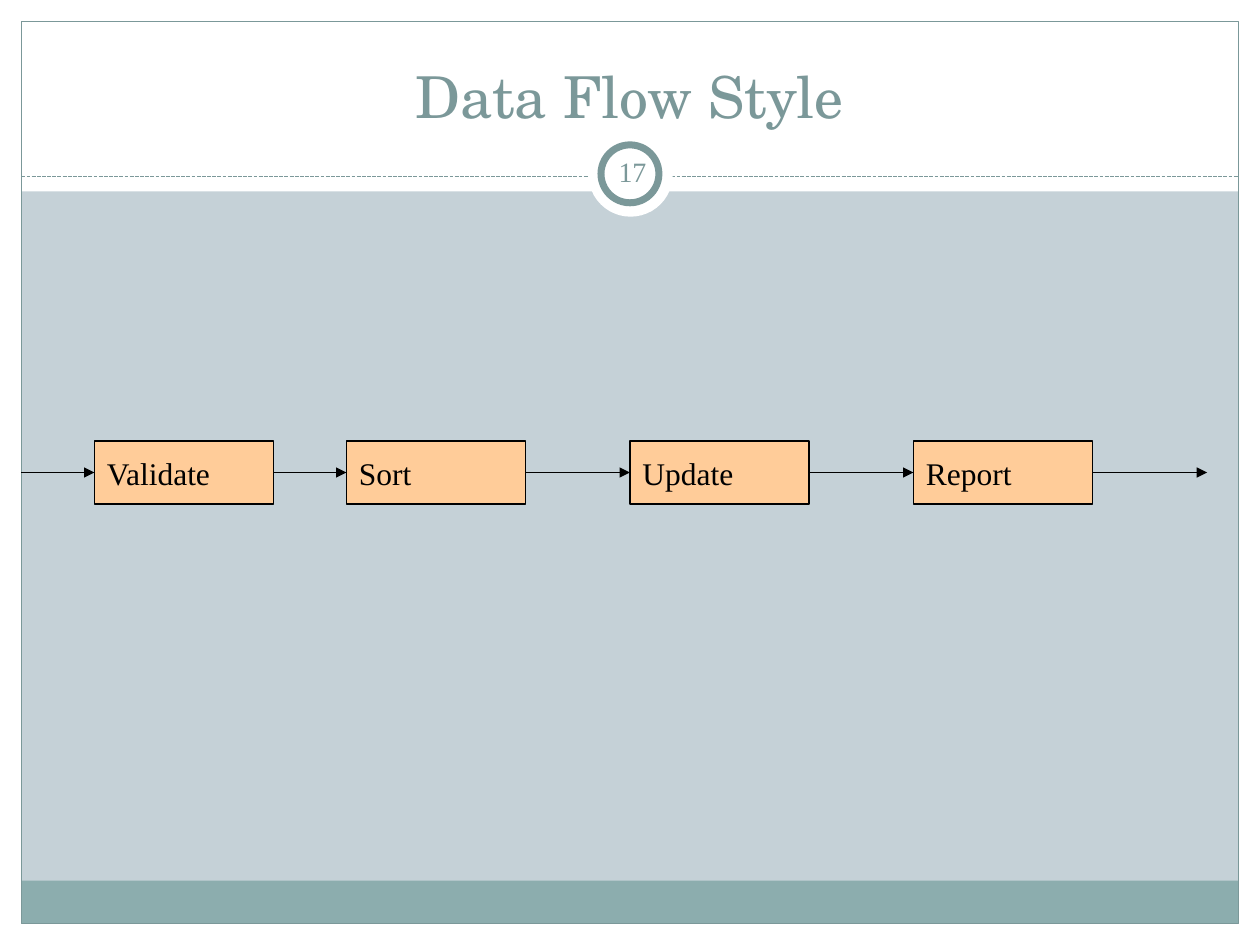
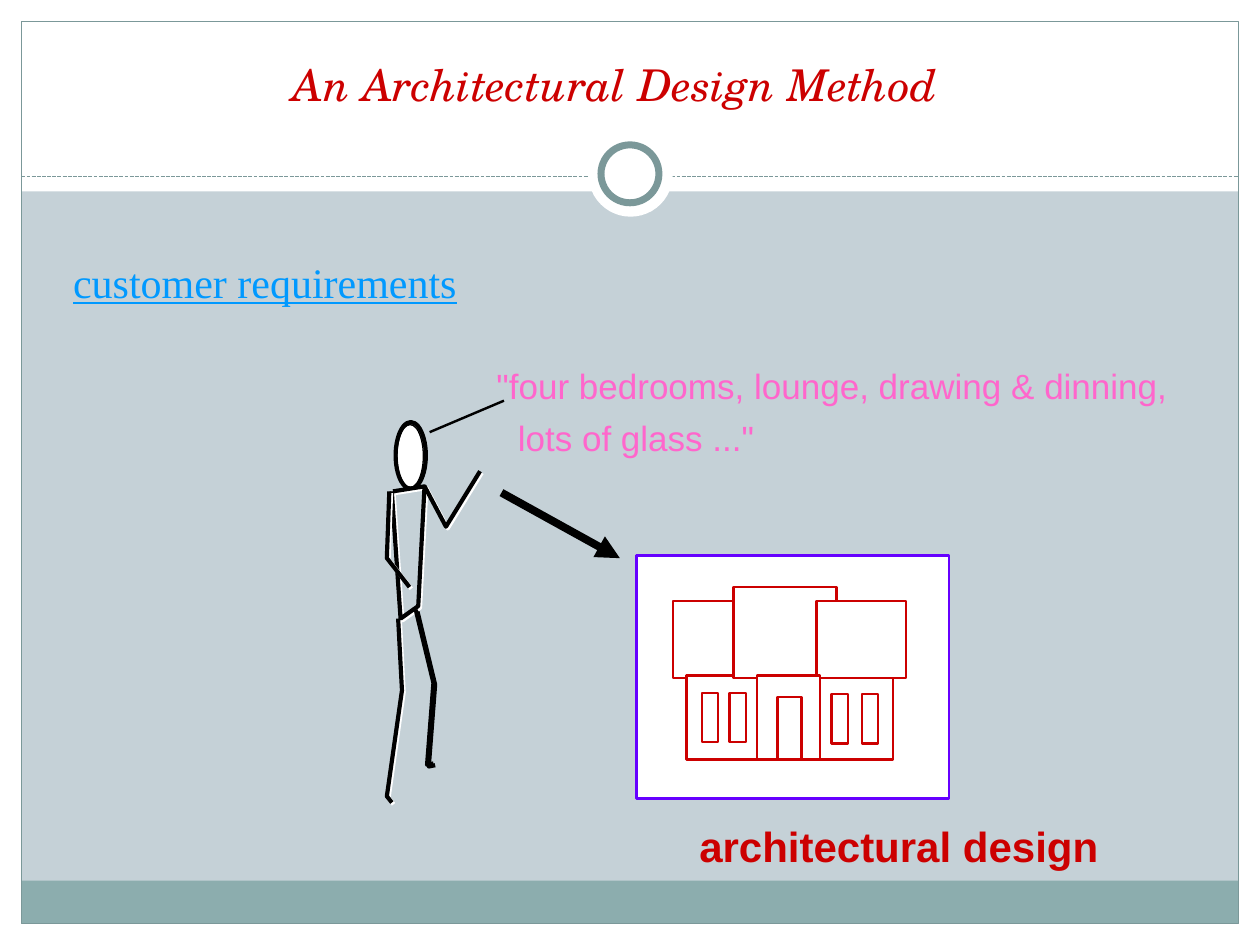
import pptx
import pptx.dml.color
import pptx.enum.dml
import pptx.enum.shapes
import pptx.enum.text
import pptx.oxml.ns
import pptx.util
from lxml import etree

Inches = pptx.util.Inches
Pt = pptx.util.Pt
Shape = pptx.enum.shapes.MSO_SHAPE
Align = pptx.enum.text.PP_ALIGN
Anchor = pptx.enum.text.MSO_ANCHOR
AutoSize = pptx.enum.text.MSO_AUTO_SIZE
qn = pptx.oxml.ns.qn

COLORS = {
    "page": "C5D1D7", "white": "FFFFFF", "black": "000000",
    "teal": "7B9899", "footer": "8CADAE", "step": "FFCC99",
    "red": "CC0000", "pink": "FF66CC", "blue": "0099FF", "violet": "6600FF",
}
TITLE_FONT, SERIF, SANS = "TeX Gyre Schola", "Times New Roman", "Arial"
WIDTH, HEIGHT, MARGIN = 10, 7.5, 0.17
LIMB_WIDTH, HOUSE_WIDTH = 2.38, 1.39


# ---- Shared helpers ----
def rgb(name):
    return pptx.dml.color.RGBColor.from_string(COLORS[name])


def paint(shape, fill=None, line=None, width=0.75):
    shape.shadow.inherit = False
    if fill:
        shape.fill.solid()
        shape.fill.fore_color.rgb = rgb(fill)
    else:
        shape.fill.background()
    if line:
        shape.line.color.rgb = rgb(line)
        shape.line.width = Pt(width)
    else:
        shape.line.fill.background()
    return shape


def add_block(slide, box, kind=Shape.RECTANGLE, **style):
    return paint(slide.shapes.add_shape(kind, *map(Inches, box)), **style)


def add_line(slide, start, end, color="black", width=0.75, dash=None, arrow=False):
    line = slide.shapes.add_connector(
        pptx.enum.shapes.MSO_CONNECTOR.STRAIGHT, *map(Inches, (*start, *end)))
    line.line.color.rgb = rgb(color)
    line.line.width = Pt(width)
    if dash:
        line.line.dash_style = dash
    properties = line.element.spPr
    if arrow:
        etree.SubElement(properties.find(qn("a:ln")), qn("a:tailEnd"), type="triangle")
    etree.SubElement(properties, qn("a:effectLst"))
    return line


def write(shape, text, size, font, color, align=Align.LEFT, anchor=Anchor.TOP,
          insets=(0, 0), wrap=False, spacing=None, **emphasis):
    frame = shape.text_frame
    frame.text = text
    frame.word_wrap = wrap
    frame.vertical_anchor = anchor
    frame.margin_left = frame.margin_right = Inches(insets[0])
    frame.margin_top = frame.margin_bottom = Inches(insets[1])
    paragraph = frame.paragraphs[0]
    paragraph.alignment = align
    if spacing:
        paragraph.line_spacing = spacing
    style = paragraph.runs[0].font
    style.size, style.name = Pt(size), font
    style.color.rgb = rgb(color)
    for name, value in emphasis.items():
        setattr(style, name, value)


def add_label(slide, box, text, size, font, color, **emphasis):
    label = slide.shapes.add_textbox(*map(Inches, box))
    write(label, text, size, font, color, spacing=0.9, **emphasis)
    label.text_frame.auto_size = AutoSize.SHAPE_TO_FIT_TEXT


def set_title(slide, box, text, size, color, **style):
    title = slide.shapes.title
    title.left, title.top, title.width, title.height = map(Inches, box)
    write(title, text, size, TITLE_FONT, color, align=Align.CENTER, wrap=True, **style)
    title.text_frame.auto_size = AutoSize.NONE


# ---- Page frame shared by all slides, kept on the layout ----
def build_frame(layout, slide):
    layout.background.fill.solid()
    layout.background.fill.fore_color.rgb = rgb("page")
    inner = WIDTH - 2 * MARGIN
    edges = [
        (0, HEIGHT - MARGIN, WIDTH, MARGIN),
        (0, 0, WIDTH, 1.52),
        (0, 0, MARGIN, HEIGHT),
        (WIDTH - MARGIN, 0, MARGIN, HEIGHT),
    ]
    parts = [add_block(slide, edge, fill="white") for edge in edges]
    parts += [
        add_block(slide, (MARGIN, 6.99, inner, 0.34), fill="footer"),
        add_block(slide, (MARGIN, MARGIN, inner, HEIGHT - 2 * MARGIN), line="teal"),
        add_line(slide, (MARGIN, 1.4), (WIDTH - MARGIN, 1.4), "teal",
                 dash=pptx.enum.dml.MSO_LINE.SQUARE_DOT),
        add_block(slide, (4.67, 1.05, 0.67, 0.67), Shape.OVAL, fill="white"),
        add_block(slide, (4.77, 1.15, 0.46, 0.46), Shape.OVAL,
                  fill="white", line="teal", width=4),
    ]
    for number, part in enumerate(parts, start=101):
        part.element.xpath(".//p:cNvPr")[0].set("id", str(number))
        layout.shapes.element.append(part.element)


# ---- Slide 1: pipeline of processing steps ----
def draw_pipeline(slide, left, top, right):
    step_width, step_height = 1.42, 0.5
    steps = {"Validate": 0.58, "Sort": 2.58, "Update": 4.83, "Report": 7.08}
    middle = top + step_height / 2
    flow_start = left
    for name, offset in steps.items():
        step_left = left + offset
        step = add_block(slide, (step_left, top, step_width, step_height),
                         fill="step", line="black")
        write(step, name, 18, SERIF, "black", anchor=Anchor.MIDDLE, insets=(0.1, 0.05))
        add_line(slide, (flow_start, middle), (step_left, middle), arrow=True)
        flow_start = step_left + step_width
    add_line(slide, (flow_start, middle), (right, middle), arrow=True)


def build_data_flow(slide):
    set_title(slide, (0.33, 0.25, 9.33, 0.83), "Data Flow Style", 33, "teal",
              anchor=Anchor.BOTTOM, insets=(0.1, 0.05))
    page_number = slide.shapes.add_textbox(*map(Inches, (4.77, 1.12, 0.5, 0.48)))
    write(page_number, "17", 16, SERIF, "teal", align=Align.CENTER,
          anchor=Anchor.MIDDLE, insets=(0.05, 0.05), wrap=True)
    draw_pipeline(slide, MARGIN, 3.5, 9.58)


# ---- Slide 2: customer and house ----
def draw_limb(slide, left, top, points, color, shift=0):
    corners = [(Inches(left + x) + shift, Inches(top + y) + shift) for x, y in points]
    outline = slide.shapes.build_freeform(*corners[0])
    outline.add_line_segments(corners[1:], close=False)
    paint(outline.convert_to_shape(), line=color, width=LIMB_WIDTH)


def draw_customer(slide, left, top):
    add_block(slide, (left + 0.08, top + 0.02, 0.21, 0.5), Shape.OVAL,
              fill="white", line="black")
    add_block(slide, (left + 0.07, top, 0.24, 0.53), Shape.OVAL,
              line="black", width=LIMB_WIDTH)
    limbs = [  # edge colour, then points
        ("white", [(0.05, 0.55), (0.3, 0.51), (0.25, 1.46), (0.11, 1.56), (0.04, 0.55)]),
        ("white", [(0.3, 0.51), (0.47, 0.83), (0.74, 0.39)]),
        ("white", [(0.02, 0.55), (0, 1.08), (0.18, 1.31)]),
        ("black", [(0.23, 1.49), (0.37, 2.07), (0.32, 2.72), (0.37, 2.71)]),
        ("white", [(0.09, 1.56), (0.12, 2.13), (0, 2.97), (0.04, 3.02)]),
    ]
    for edge, points in limbs:
        draw_limb(slide, left, top, points, edge, shift=Pt(1))
        draw_limb(slide, left, top, points, "black")


def draw_house(slide, left, top):
    add_block(slide, (left, top, 2.48, 1.93), fill="white", line="violet",
              width=HOUSE_WIDTH)
    walls = [
        (0.29, 0.36, 0.5, 0.61),   # left roof
        (0.4, 0.95, 1.64, 0.67),   # ground floor
        (0.77, 0.25, 0.82, 0.72),  # middle roof
        (1.43, 0.36, 0.71, 0.61),  # right roof
        (0.96, 0.95, 0.5, 0.67),   # porch
        (1.12, 1.12, 0.19, 0.5),   # door
    ]
    windows = [(x, y, 0.13, 0.39)
               for x, y in ((0.52, 1.09), (0.74, 1.09), (1.55, 1.1), (1.79, 1.1))]
    for x, y, width, height in walls + windows:
        add_block(slide, (left + x, top + y, width, height),
                  fill="white", line="red", width=HOUSE_WIDTH)


def build_design_method(slide):
    set_title(slide, (1.51, 0.43, 6.74, 0.66), "An Architectural Design Method",
              25, "red", insets=(0.07, 0.03), italic=True)
    add_label(slide, (3.94, 2.93, 5.41, 0.3),
              '"four bedrooms, lounge, drawing & dinning,', 20, SANS, "pink")
    add_label(slide, (4.11, 3.34, 1.88, 0.3), 'lots of glass ..."', 20, SANS, "pink")
    add_label(slide, (0.58, 2.08, 3.05, 0.36), "customer requirements", 24, SERIF,
              "blue", underline=True)
    draw_customer(slide, 3.07, 3.35)
    add_line(slide, (3.41, 3.43), (4, 3.18), width=1.39)
    draw_house(slide, 5.05, 4.41)
    add_label(slide, (5.55, 6.56, 3.17, 0.36), "architectural design", 24, SANS,
              "red", bold=True)
    add_line(slide, (3.98, 3.91), (4.92, 4.43), width=4.5, arrow=True)


def main():
    deck = pptx.Presentation()
    deck.slide_width, deck.slide_height = Inches(WIDTH), Inches(HEIGHT)
    layout = deck.slide_layouts.get_by_name("Title Only")
    data_flow, design_method = [deck.slides.add_slide(layout) for _ in range(2)]
    build_frame(layout, data_flow)
    build_data_flow(data_flow)
    build_design_method(design_method)
    deck.save("out.pptx")


if __name__ == "__main__":
    main()
